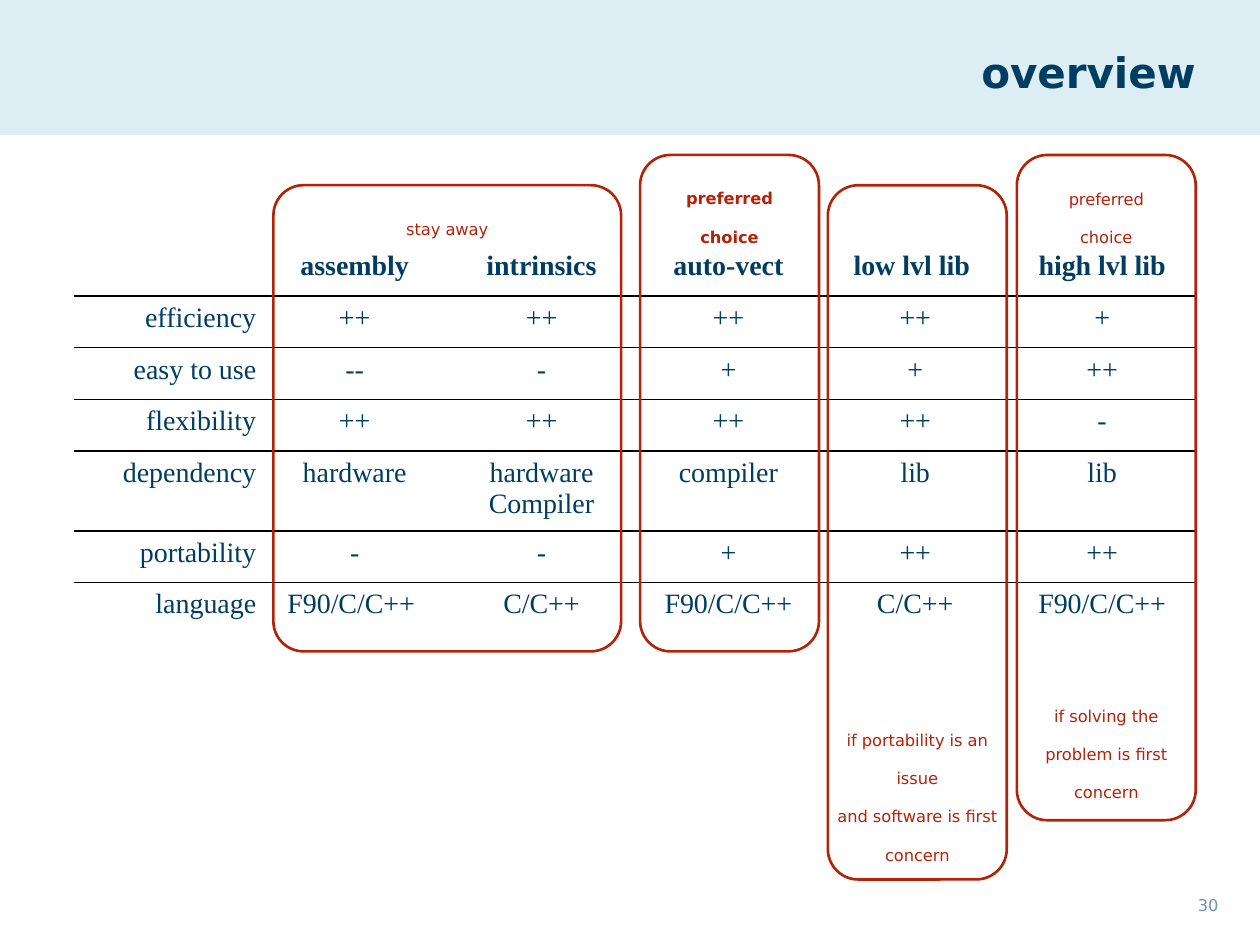
from lxml import etree
from pptx import Presentation
from pptx import util as u
from pptx.dml.color import RGBColor
from pptx.enum import shapes, text
from pptx.oxml.ns import qn

NAVY, RED, BAND, PALE = "003D62", "B2230A", "DCEEF3", "7590B5"
BLACK, WHITE = "000000", "FFFFFF"
SANS, SERIF = "DejaVu Sans", "Times New Roman"
LEFT, CENTER, RIGHT = text.PP_ALIGN.LEFT, text.PP_ALIGN.CENTER, text.PP_ALIGN.RIGHT
TOP, MIDDLE, BOTTOM = text.MSO_ANCHOR.TOP, text.MSO_ANCHOR.MIDDLE, text.MSO_ANCHOR.BOTTOM

COMPARISON = [
    ["", "assembly", "intrinsics", "auto-vect", "low lvl lib ", "high lvl lib"],
    ["efficiency", "++", "++", "++", "++", "+"],
    ["easy to use", "--", "-", "+", "+", "++"],
    ["flexibility", "++", "++", "++", "++", "-"],
    ["dependency", "hardware", "hardware\nCompiler", "compiler", "lib", "lib"],
    ["portability", "-", "-", "+", "++", "++"],
    ["language", "F90/C/C++ ", "C/C++", "F90/C/C++", "C/C++", "F90/C/C++"],
]
TABLE_LEFT, TABLE_TOP, TABLE_WIDTH = 0.59, 1.94, 8.9
ROW_HEIGHT, TALL_ROW_HEIGHT = 0.41, 0.61
FILLED_COLUMNS = 3

VERDICTS = [
    dict(box=(2.17, 1.47, 2.76, 3.7), lines=["stay away"], radius=0.087, anchor=TOP, inset=0.1),
    dict(box=(5.08, 1.23, 1.42, 3.94), lines=["preferred", "choice"], bold=True,
         anchor=TOP, inset=0),
    dict(box=(8.07, 1.23, 1.42, 5.28), anchor=TOP, inset=0.1, last_gap=252,
         lines=["preferred", "choice", "if solving the problem is first concern"]),
    dict(box=(6.57, 1.47, 1.42, 5.51), anchor=BOTTOM, inset=0,
         lines=["if portability is an issue", "and software is first concern"]),
]


def rgb(value):
    return RGBColor.from_string(value)


def inches(values):
    return [u.Inches(value) for value in values]


def write(frame, lines, size, font, color, align, bold=False, lowered=False):
    for index, line in enumerate(lines):
        paragraph = frame.paragraphs[0] if index == 0 else frame.add_paragraph()
        paragraph.alignment = align
        run = paragraph.add_run()
        run.text = line
        run.font.size, run.font.name, run.font.bold = u.Pt(size), font, bold
        run.font.color.rgb = rgb(color)
        if lowered:
            run.font._element.set("baseline", "-25000")


def set_frame(frame, anchor, across=0, down=0):
    frame.word_wrap = True
    frame.vertical_anchor = anchor
    frame.margin_left = frame.margin_right = u.Inches(across)
    frame.margin_top = frame.margin_bottom = u.Inches(down)


def set_borders(cell, colors):
    properties = cell._tc.get_or_add_tcPr()
    for side, color in colors.items():
        line = etree.SubElement(properties, qn(f"a:ln{side}"), w=str(u.Pt(1)))
        if color:
            fill = etree.SubElement(line, qn("a:solidFill"))
            etree.SubElement(fill, qn("a:srgbClr"), val=color)
        else:
            etree.SubElement(line, qn("a:noFill"))


def add_header(slide):
    title = slide.shapes.title
    band = slide.shapes.add_shape(shapes.MSO_SHAPE.RECTANGLE, *inches((0, 0, 10, 1.07)))
    band.shadow.inherit = False
    band.fill.solid()
    band.fill.fore_color.rgb = band.line.color.rgb = rgb(BAND)
    band.line.width = u.Pt(0.75)
    title._element.addprevious(band._element)
    title.left, title.top, title.width, title.height = inches((1.54, 0.22, 7.95, 0.69))
    set_frame(title.text_frame, MIDDLE)
    write(title.text_frame, ["overview"], 24, SANS, NAVY, RIGHT, bold=True)


def add_comparison(slide):
    rows, columns = len(COMPARISON), len(COMPARISON[0])
    heights = [TALL_ROW_HEIGHT if any("\n" in entry for entry in row) else ROW_HEIGHT
               for row in COMPARISON]
    table = slide.shapes.add_table(
        rows, columns, *inches((TABLE_LEFT, TABLE_TOP, TABLE_WIDTH, sum(heights)))).table
    table.first_row = table.horz_banding = False
    for column in table.columns:
        column.width = u.Inches(TABLE_WIDTH / columns)
    for r, row in enumerate(COMPARISON):
        table.rows[r].height = u.Inches(heights[r])
        for c, entry in enumerate(row):
            cell = table.cell(r, c)
            set_borders(cell, {
                "L": None if c else WHITE,
                "R": None if c < columns - 1 else WHITE,
                "T": BLACK if r else WHITE,
                "B": BLACK if r < rows - 1 else WHITE,
            })
            if c < FILLED_COLUMNS:
                cell.fill.solid()
                cell.fill.fore_color.rgb = rgb(WHITE)
            else:
                cell.fill.background()
            cell.margin_left = cell.margin_right = u.Inches(0.04)
            cell.margin_top = cell.margin_bottom = u.Inches(0.05)
            if entry:
                write(cell.text_frame, entry.split("\n"), 16, SERIF, NAVY,
                      CENTER if c else RIGHT, bold=r == 0)


def add_verdict(slide, verdict):
    outline = slide.shapes.add_shape(
        shapes.MSO_SHAPE.ROUNDED_RECTANGLE, *inches(verdict["box"]))
    outline.shadow.inherit = False
    outline.adjustments[0] = verdict.get("radius", 0.17)
    outline.fill.background()
    outline.line.color.rgb = rgb(RED)
    outline.line.width = u.Pt(1.5)
    frame = outline.text_frame
    set_frame(frame, verdict["anchor"], verdict["inset"], 0.05)
    write(frame, verdict["lines"], 16, SANS, RED, CENTER,
          bold=verdict.get("bold", False), lowered=True)
    if "last_gap" in verdict:
        frame.paragraphs[-1].space_before = u.Pt(verdict["last_gap"])


def add_page_number(slide):
    number = slide.shapes.add_textbox(*inches((8.7, 6.96, 0.97, 0.42)))
    set_frame(number.text_frame, TOP)
    write(number.text_frame, ["30"], 16, SANS, PALE, RIGHT, lowered=True)


def main():
    deck = Presentation()
    deck.slide_width, deck.slide_height = inches((10, 7.5))
    slide = deck.slides.add_slide(deck.slide_layouts[5])
    add_header(slide)
    add_page_number(slide)
    add_comparison(slide)
    for verdict in VERDICTS:
        add_verdict(slide, verdict)
    deck.save("out.pptx")


if __name__ == "__main__":
    main()
